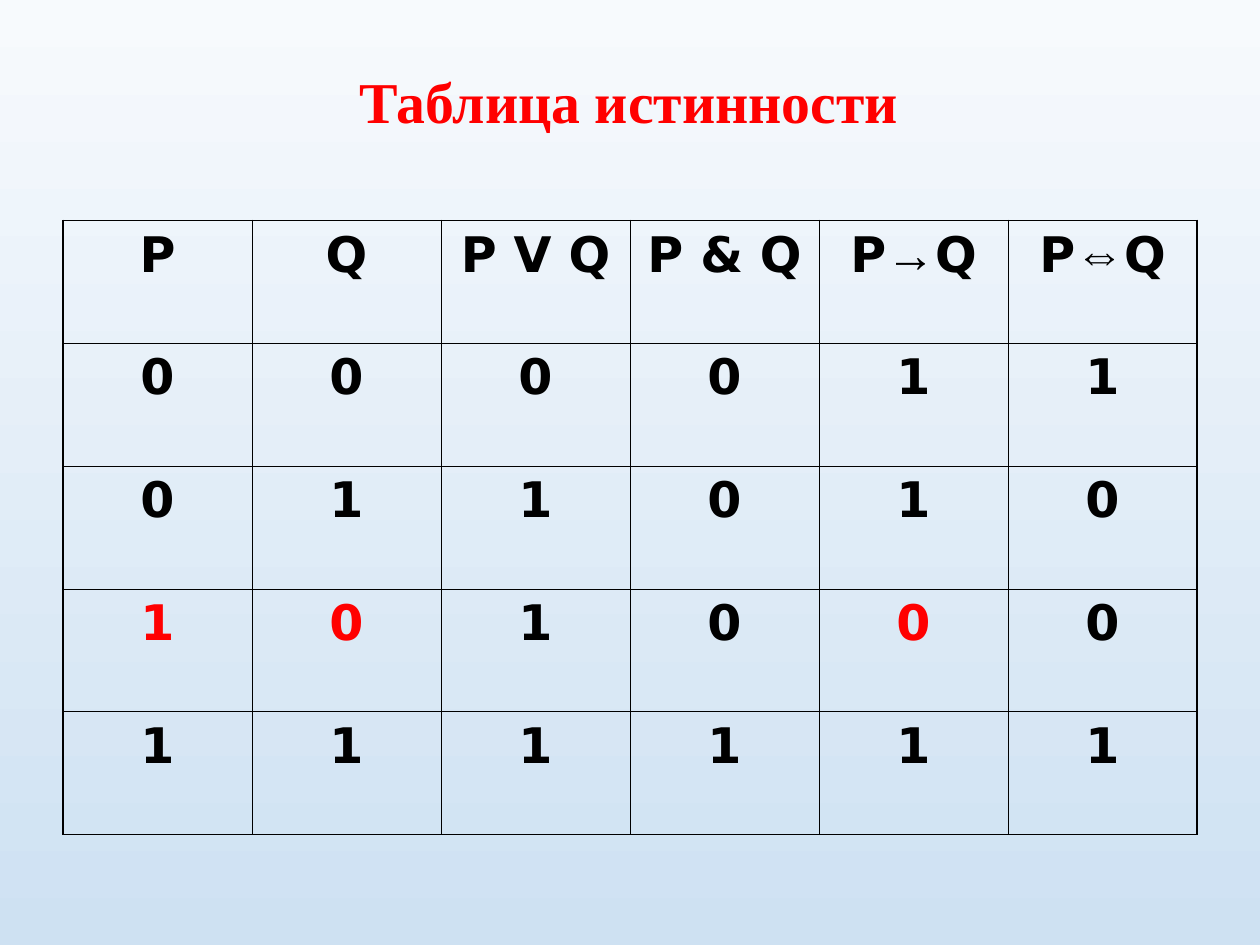
import pptx
import pptx.dml.color
import pptx.enum.text
import pptx.oxml
import pptx.oxml.ns
import pptx.util

# Content: "*" marks a highlighted value
HEADING = "Таблица истинности"
FORMULAS = [["P"], ["Q"], ["P V Q"], ["P & Q"], ["P", "→", "Q"], ["P", "⇔", "Q"]]
TRUTH_VALUES = [
    "0 0 0 0 1 1",
    "0 1 1 0 1 0",
    "1* 0* 1 0 0* 0",
    "1 1 1 1 1 1",
]
SYMBOLS = {"→", "⇔"}

THEME = {
    "ink": "000000",
    "accent": "FF0000",
    "sky": ("F7FAFD", "CEE1F2"),
    "heading_font": "Times New Roman",
    "table_font": "DejaVu Sans",
    "symbol_font": "Arial",
    "heading_size": 33,
    "table_size": 28,
    "outer_line": 1.08,
    "inner_line": 0.45,
}

# Layout: left, top, width, height in inches
SLIDE_WIDTH, SLIDE_HEIGHT = 10, 7.5
HEADING_BOX = (0.48, 0.11, 9.02, 1.44)
MARGIN = SLIDE_WIDTH * 0.05
TABLE_BOX = (MARGIN, 1.75, SLIDE_WIDTH - 2 * MARGIN, SLIDE_HEIGHT * 0.65)


def inches(box):
    return [pptx.util.Inches(length) for length in box]


def rgb(color):
    return pptx.dml.color.RGBColor.from_string(color)


def add_run(paragraph, text, font, size, color):
    run = paragraph.add_run()
    run.text = text
    run.font.name = font
    run.font.size = pptx.util.Pt(size)
    run.font.bold = True
    run.font.color.rgb = rgb(color)


def draw_borders(cell, outer_sides):
    for side in "LRTB":
        points = THEME["outer_line" if side in outer_sides else "inner_line"]
        cell._tc.get_or_add_tcPr().append(pptx.oxml.parse_xml(
            f'<a:ln{side} {pptx.oxml.ns.nsdecls("a")} w="{pptx.util.Pt(points)}">'
            f'<a:solidFill><a:srgbClr val="{THEME["ink"]}"/></a:solidFill>'
            f'</a:ln{side}>'))


def add_heading(slide):
    heading = slide.shapes.title
    heading.left, heading.top, heading.width, heading.height = inches(HEADING_BOX)
    frame = heading.text_frame
    frame.word_wrap = True
    frame.auto_size = pptx.enum.text.MSO_AUTO_SIZE.NONE
    frame.vertical_anchor = pptx.enum.text.MSO_ANCHOR.MIDDLE
    paragraph = frame.paragraphs[0]
    paragraph.alignment = pptx.enum.text.PP_ALIGN.CENTER
    paragraph.line_spacing = 0.9
    add_run(paragraph, HEADING, THEME["heading_font"], THEME["heading_size"], THEME["accent"])


def add_truth_table(slide):
    rows = [FORMULAS] + [[[value] for value in line.split()] for line in TRUTH_VALUES]
    last_row, last_column = len(rows) - 1, len(FORMULAS) - 1
    table = slide.shapes.add_table(len(rows), len(FORMULAS), *inches(TABLE_BOX)).table
    table.first_row = table.horz_banding = False

    for r, row in enumerate(rows):
        for c, parts in enumerate(row):
            cell = table.cell(r, c)
            edges = {"L": c == 0, "R": c == last_column, "T": r == 0, "B": r == last_row}
            draw_borders(cell, [side for side, outer in edges.items() if outer])
            cell.fill.background()
            paragraph = cell.text_frame.paragraphs[0]
            paragraph.alignment = pptx.enum.text.PP_ALIGN.CENTER
            for part in parts:
                font = THEME["symbol_font" if part in SYMBOLS else "table_font"]
                color = THEME["accent" if part.endswith("*") else "ink"]
                add_run(paragraph, part.rstrip("*"), font, THEME["table_size"], color)


def main():
    presentation = pptx.Presentation()
    presentation.slide_width, presentation.slide_height = inches((SLIDE_WIDTH, SLIDE_HEIGHT))
    slide = presentation.slides.add_slide(presentation.slide_layouts.get_by_name("Title Only"))

    # Background fades from top to bottom
    sky = slide.background.fill
    sky.gradient()
    sky.gradient_angle = 270
    for stop, color in zip(sky.gradient_stops, THEME["sky"]):
        stop.color.rgb = rgb(color)

    add_heading(slide)
    add_truth_table(slide)
    presentation.save("out.pptx")


if __name__ == "__main__":
    main()
